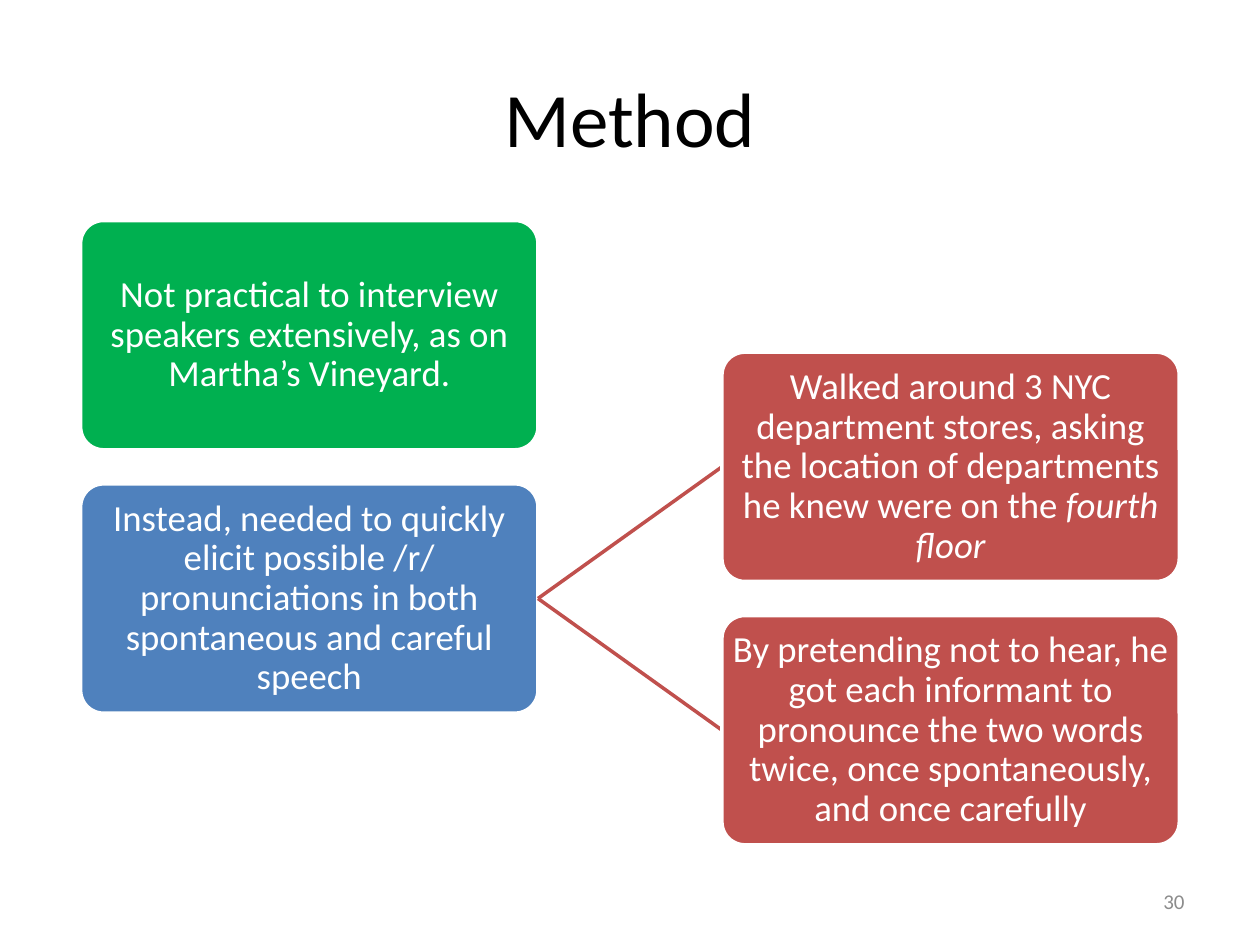
from dataclasses import dataclass

from lxml import etree
from pptx import Presentation
from pptx.dml.color import RGBColor
from pptx.enum import shapes, text
from pptx.oxml import ns
from pptx.util import Inches, Pt

BOX_WIDTH, BOX_HEIGHT = 3.63, 1.82
LEFT_COLUMN, RIGHT_COLUMN = 0.64, 5.73
TOP, ROW_STEP = 1.75, 2.09
GREEN, BLUE, RED, WHITE = "00B050", "4F81BD", "C0504D", "FFFFFF"
TOP_SIDE, LEFT_SIDE, BOTTOM_SIDE, RIGHT_SIDE = range(4)


@dataclass
class Step:
    column: float
    row: float
    colour: str
    wording: str
    emphasis: str = ""

    @property
    def top(self) -> float:
        return TOP + self.row * ROW_STEP


PROBLEM = Step(LEFT_COLUMN, 0, GREEN,
               "Not practical to interview speakers extensively, as on Martha’s Vineyard.")
NEED = Step(LEFT_COLUMN, 1, BLUE,
            "Instead, needed to quickly elicit possible /r/ pronunciations in both "
            "spontaneous and careful speech")
ACTIONS = [
    Step(RIGHT_COLUMN, 0.5, RED,
         "Walked around 3 NYC department stores, asking the location of departments "
         "he knew were on the ", "fourth floor"),
    Step(RIGHT_COLUMN, 1.5, RED,
         "By pretending not to hear, he got each informant to pronounce the two words "
         "twice, once spontaneously, and once carefully"),
]


def rgb(colour: str) -> RGBColor:
    return RGBColor.from_string(colour)


def add_run(paragraph, wording: str, size: float, colour: str, italic: bool = False):
    run = paragraph.add_run()
    run.text = wording
    formats = {"name": "Calibri", "size": Pt(size), "italic": italic}
    for attribute, value in formats.items():
        setattr(run.font, attribute, value)
    run.font.color.rgb = rgb(colour)


def prepare_frame(frame, alignment, inset: dict[str, float]):
    """Centre the frame vertically, wrap it and return its first paragraph."""
    formats = {"word_wrap": True, "vertical_anchor": text.MSO_ANCHOR.MIDDLE}
    formats |= {f"margin_{side}": Inches(gap) for side, gap in inset.items()}
    for attribute, value in formats.items():
        setattr(frame, attribute, value)
    paragraph = frame.paragraphs[0]
    paragraph.alignment = alignment
    return paragraph


def add_label(slide, place: tuple[float, ...], wording: str, size: float,
              colour: str, alignment):
    label = slide.shapes.add_textbox(*map(Inches, place))
    add_run(prepare_frame(label.text_frame, alignment, {}), wording, size, colour)


def add_step(slide, step: Step):
    box = slide.shapes.add_shape(
        shapes.MSO_SHAPE.ROUNDED_RECTANGLE, Inches(step.column), Inches(step.top),
        Inches(BOX_WIDTH), Inches(BOX_HEIGHT))
    box.adjustments[0] = 0.1
    box.shadow.inherit = False
    box.fill.solid()
    box.fill.fore_color.rgb = rgb(step.colour)
    box.line.color.rgb = rgb(WHITE)
    box.line.width = Pt(2)
    inset = dict.fromkeys(("left", "top", "right", "bottom"), 0.01)
    paragraph = prepare_frame(box.text_frame, text.PP_ALIGN.CENTER, inset)
    paragraph.line_spacing = 0.9
    add_run(paragraph, step.wording, 21, WHITE)
    if step.emphasis:
        add_run(paragraph, step.emphasis, 21, WHITE, italic=True)
    return box


def add_branch(slide, origin, action: Step):
    """Draw an action with a line from its origin, the line lying behind the box."""
    branch = slide.shapes.add_connector(
        shapes.MSO_CONNECTOR.STRAIGHT, 0, 0, Inches(1), Inches(1))
    branch.line.color.rgb = rgb(RED)
    branch.line.width = Pt(2)
    etree.SubElement(branch.line._get_or_add_ln().getparent(), ns.qn("a:effectLst"))
    branch.begin_connect(origin, RIGHT_SIDE)
    branch.end_connect(add_step(slide, action), LEFT_SIDE)


def main():
    deck = Presentation()
    deck.slide_width, deck.slide_height = Inches(10), Inches(7.5)
    slide = deck.slides.add_slide(deck.slide_layouts[6])
    add_label(slide, (0.5, 0.3, 9, 1.25), "Method", 44, "000000", text.PP_ALIGN.CENTER)
    add_step(slide, PROBLEM)
    need_box = add_step(slide, NEED)
    for action in ACTIONS:
        add_branch(slide, need_box, action)
    add_label(slide, (7.17, 6.95, 2.33, 0.4), "30", 12, "8C8C8C", text.PP_ALIGN.RIGHT)
    deck.save("out.pptx")


if __name__ == "__main__":
    main()
